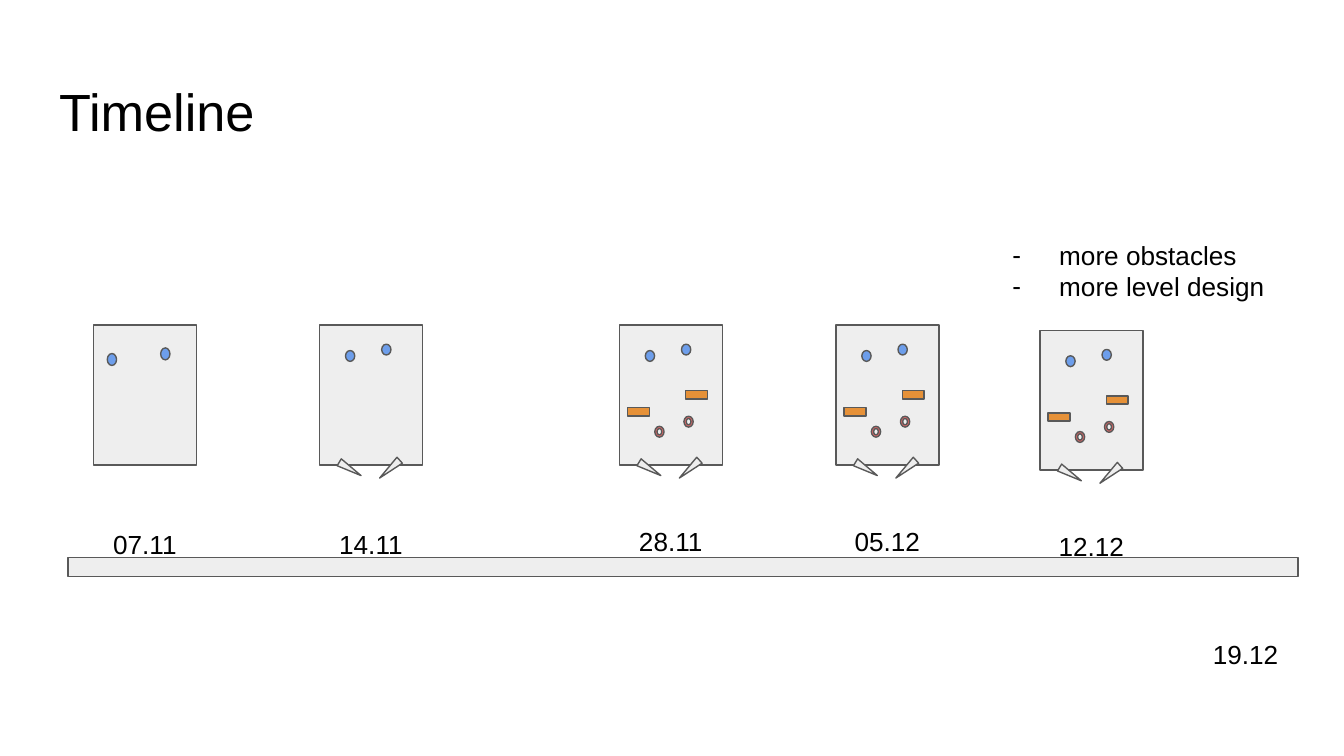
from lxml import etree
from pptx import Presentation
from pptx.dml.color import RGBColor
from pptx.enum.shapes import MSO_SHAPE
from pptx.enum.text import MSO_ANCHOR, MSO_AUTO_SIZE, PP_ALIGN
from pptx.oxml.ns import qn
from pptx.util import Pt

RECTANGLE = MSO_SHAPE.RECTANGLE
TRIANGLE = MSO_SHAPE.ISOSCELES_TRIANGLE
OVAL = MSO_SHAPE.OVAL
DONUT = MSO_SHAPE.DONUT
LEFT, CENTER = PP_ALIGN.LEFT, PP_ALIGN.CENTER

GREY, BLUE, ORANGE, RED = "EEEEEE", "6D9EEB", "E69138", "E06666"
OUTLINE, BLACK = "595959", "000000"


def add_part(kind, left, top, width, height, fill, rotation=0):
    shape = slide.shapes.add_shape(kind, Pt(left), Pt(top), Pt(width), Pt(height))
    shape.rotation = rotation
    shape.shadow.inherit = False
    shape.fill.solid()
    shape.fill.fore_color.rgb = RGBColor.from_string(fill)
    shape.line.color.rgb = RGBColor.from_string(OUTLINE)
    shape.line.width = Pt(0.75)


def write_text(shape, lines, box, size=14, align=LEFT, bullet=None):
    shape.left, shape.top, shape.width, shape.height = [Pt(length) for length in box]
    frame = shape.text_frame
    frame.word_wrap = True
    frame.auto_size = MSO_AUTO_SIZE.NONE
    frame.vertical_anchor = MSO_ANCHOR.TOP
    frame.margin_left = frame.margin_right = Pt(7.2)
    frame.margin_top = frame.margin_bottom = Pt(7.2)
    frame.text = "\n".join(lines)
    for paragraph in frame.paragraphs:
        if bullet:
            properties = paragraph._p.get_or_add_pPr()
            properties.set("marL", str(Pt(36)))
            properties.set("indent", str(Pt(-25)))
            color = etree.SubElement(properties, qn("a:buClr"))
            etree.SubElement(color, qn("a:srgbClr"), val=BLACK)
            etree.SubElement(properties, qn("a:buFont"), typeface="Arial")
            etree.SubElement(properties, qn("a:buChar"), char=bullet)
        paragraph.alignment = align
        paragraph.space_before = Pt(0)
        for run in paragraph.runs:
            run.font.name = "Arial"
            run.font.size = Pt(size)
            run.font.color.rgb = RGBColor.from_string(BLACK)


presentation = Presentation()
presentation.slide_width, presentation.slide_height = Pt(720), Pt(405)
slide = presentation.slides.add_slide(presentation.slide_layouts[1])

# Title and list of next steps
write_text(slide.shapes.title, ["Timeline"], (24.5, 35, 671, 45.4), size=28)
write_text(slide.placeholders[1], ["more obstacles", "more level design"],
           (524.2, 121, 162.7, 64), bullet="-")

# Time bar
add_part(RECTANGLE, 36.5, 298.6, 659, 10.4, GREY)

# Parts of a game board, measured from its top left corner
first_balls = [(OVAL, 7.4, 15.2, 5, 6.4, BLUE), (OVAL, 36, 12.2, 5, 6.4, BLUE)]
flippers = [(TRIANGLE, 14.2, 70.2, 4.3, 13.7, GREY, 121.3),
            (TRIANGLE, 35.4, 69.9, 4.3, 14.4, GREY, 228.4)]
balls = [(OVAL, 13.9, 13.6, 5, 5.8, BLUE), (OVAL, 33.3, 10.2, 5, 5.8, BLUE)]
obstacles = [(RECTANGLE, 4.4, 44.2, 11.7, 4.4, ORANGE),
             (RECTANGLE, 35.6, 35.1, 11.7, 4.4, ORANGE),
             (DONUT, 34.6, 48.8, 5, 5.8, RED),
             (DONUT, 19, 54.2, 5, 5.8, RED)]
full_board = flippers + balls + obstacles

# Milestones: date, board left and top, date top, parts
milestones = [
    ("07.11", 50.1, 174.2, 276, first_balls),
    ("14.11", 171.2, 174.2, 276, flippers + balls),
    ("28.11", 331.8, 174.2, 274, full_board),
    ("05.12", 447.8, 174.2, 274.4, full_board),
    ("12.12", 557.1, 177, 277, full_board),
]
dates = [("19.12", 616.5, 334.8)]
for date, left, top, date_top, parts in milestones:
    add_part(RECTANGLE, left, top, 55.2, 74.9, GREY)
    for kind, part_left, part_top, *rest in parts:
        add_part(kind, left + part_left, top + part_top, *rest)
    dates.append((date, left - 23.2, date_top))

# Dates
for date, left, top in dates:
    label = slide.shapes.add_textbox(0, 0, 0, 0)
    write_text(label, [date], (left, top, 101.5, 22.3), align=CENTER)

presentation.save("out.pptx")
